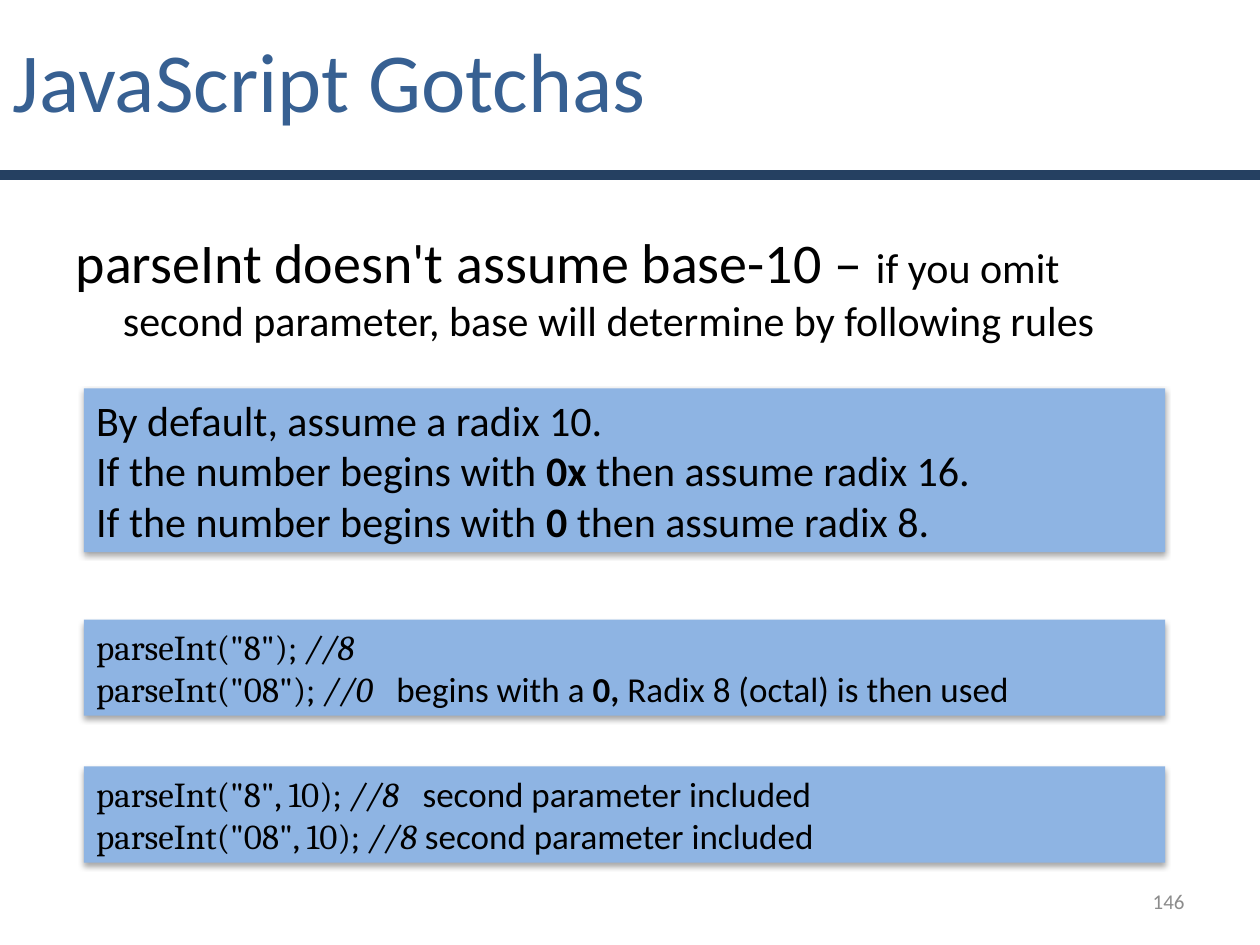
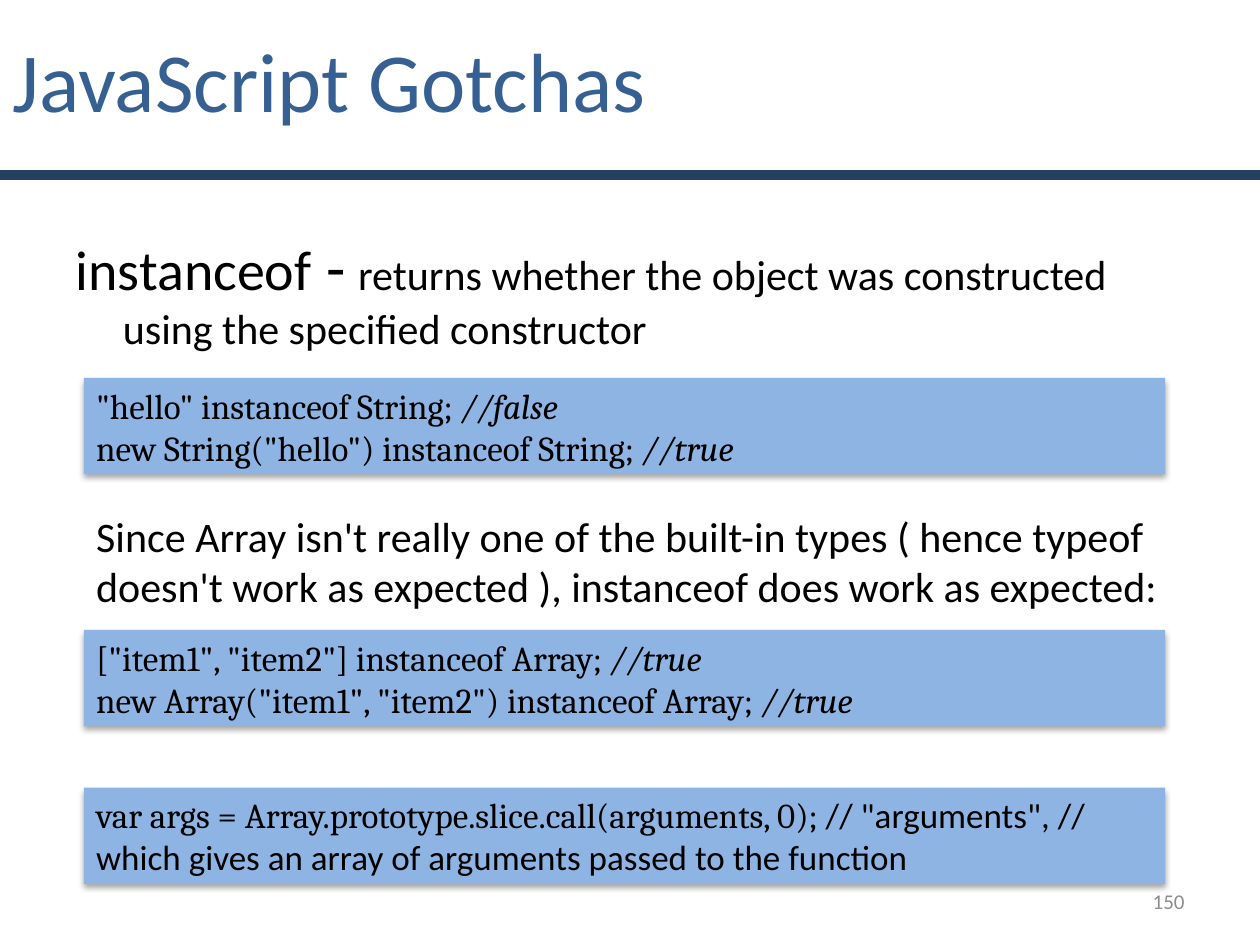
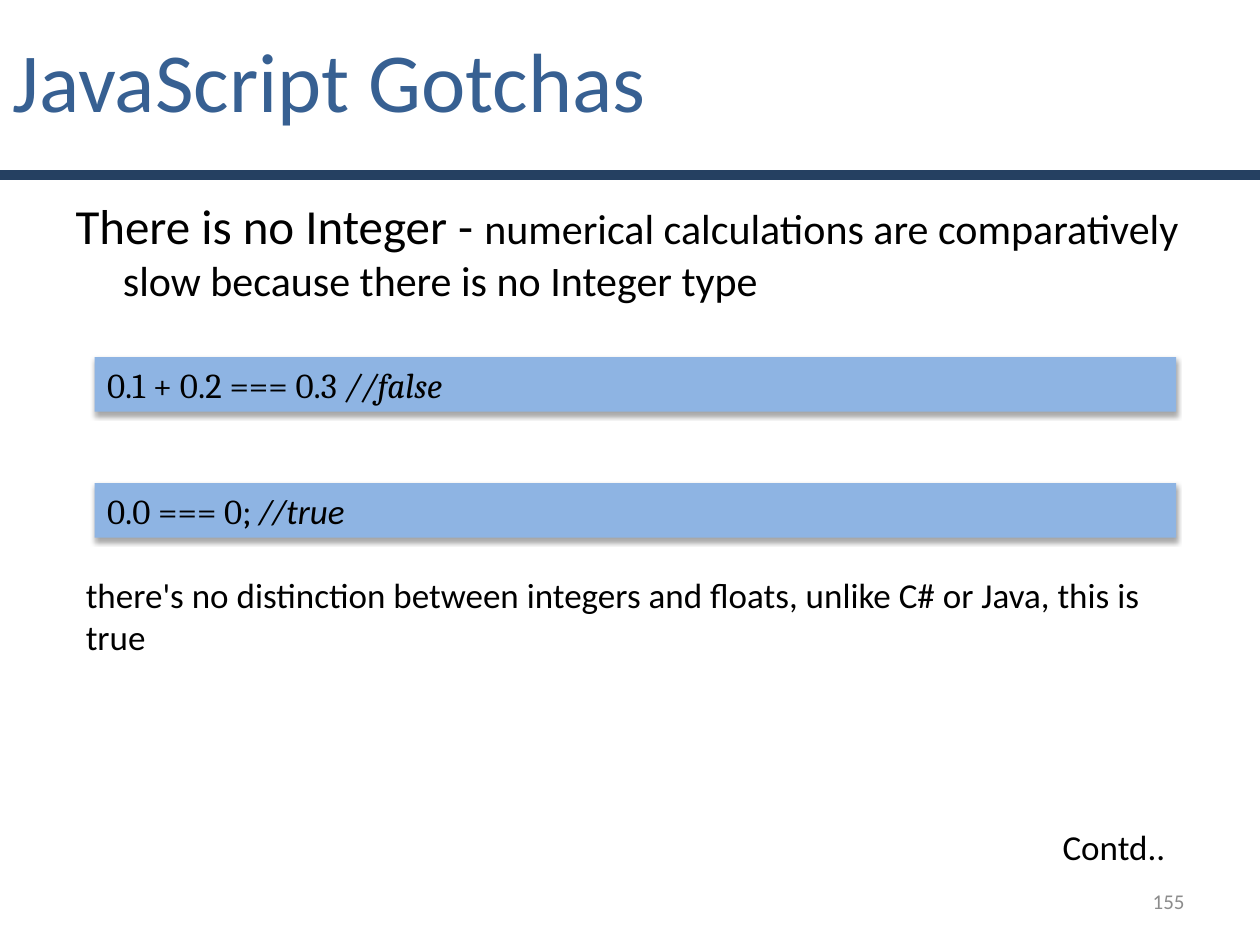
from dataclasses import dataclass
from typing import NamedTuple

from lxml import etree
from pptx import Presentation
from pptx.dml.color import RGBColor
from pptx.enum.shapes import MSO_SHAPE
from pptx.enum.text import MSO_ANCHOR as Anchor, MSO_AUTO_SIZE as AutoSize, PP_ALIGN as Align
from pptx.oxml import parse_xml
from pptx.oxml.ns import nsdecls, qn
from pptx.util import Cm, Pt

NAVY = RGBColor(0x25, 0x40, 0x61)
TITLE_BLUE = RGBColor(0x37, 0x60, 0x92)
PANEL_BLUE = RGBColor(0x8E, 0xB4, 0xE3)
GREY = RGBColor(0x8C, 0x8C, 0x8C)
BLACK = RGBColor(0, 0, 0)
SANS, SERIF = "Calibri", "Cambria"
TITLE = "JavaScript Gotchas"
PANEL_WIDTH = 21.8
SHADOW = (
    f'<a:effectLst {nsdecls("a")}>'
    '<a:outerShdw blurRad="40000" dist="23000" dir="5400000" rotWithShape="0">'
    '<a:srgbClr val="000000"><a:alpha val="35000"/></a:srgbClr>'
    "</a:outerShdw></a:effectLst>"
)


class Box(NamedTuple):
    left: float
    top: float
    width: float
    height: float


class Span(NamedTuple):
    text: str
    font: str = SANS
    size: float | None = None
    bold: bool = False
    italic: bool = False


Line = list[Span]


def code(text: str) -> Span:
    return Span(text, SERIF)


def remark(text: str, font: str = SERIF) -> Span:
    return Span(text, font, italic=True)


def strong(text: str) -> Span:
    return Span(text, bold=True)


@dataclass
class Panel:
    top: float
    lines: list[Line]
    size: float = 20
    left: float = 1.69
    rows: int = 2
    tab: float | None = None

    @property
    def box(self) -> Box:
        height = 0.25 + self.rows * self.size * 1.2 / 72 * 2.54
        return Box(self.left, self.top, PANEL_WIDTH, round(height, 2))


@dataclass
class Note:
    box: Box
    text: str
    size: float


@dataclass
class Page:
    number: int
    body_box: Box
    body: Line
    panels: list[Panel]
    notes: list[Note]


def cm(box: Box) -> list[Cm]:
    return [Cm(v) for v in box]


def place(sp, box: Box) -> None:
    sp.left, sp.top, sp.width, sp.height = cm(box)


def write_line(p, line: Line, size: float, color: RGBColor, align: Align) -> None:
    p.alignment = align
    p.space_before = Pt(0)
    for span in line:
        r = p.add_run()
        r.text = span.text
        f = r.font
        f.name, f.size = span.font, Pt(span.size or size)
        f.bold, f.italic = span.bold, span.italic
        f.color.rgb = color


def write(tf, lines: list[Line], size: float, color: RGBColor = BLACK,
          align: Align = Align.LEFT) -> None:
    tf.word_wrap = True
    for i, line in enumerate(lines):
        p = tf.add_paragraph() if i else tf.paragraphs[0]
        write_line(p, line, size, color, align)


def add_text(s, box: Box, text: str, size: float, color: RGBColor = BLACK,
             align: Align = Align.LEFT, anchor: Anchor = Anchor.TOP) -> None:
    tf = s.shapes.add_textbox(*cm(box)).text_frame
    tf.vertical_anchor = anchor
    write(tf, [[Span(text)]], size, color, align)


def add_rect(s, box: Box, fill: RGBColor):
    sp = s.shapes.add_shape(MSO_SHAPE.RECTANGLE, *cm(box))
    sp.shadow.inherit = False
    sp.fill.solid()
    sp.fill.fore_color.rgb = fill
    return sp


def add_frame(s, number: int) -> None:
    band = add_rect(s, Box(0, 3.47, 25.4, 0.13), NAVY)
    band.line.color.rgb = NAVY
    band.line.width = Pt(2)
    add_text(s, Box(18.2, 17.66, 5.93, 1.01), str(number), 12, GREY, Align.RIGHT, Anchor.MIDDLE)


def fill_title(s) -> None:
    sp = s.shapes.title
    place(sp, Box(0, -0.2, 18.85, 3.6))
    sp.text_frame.vertical_anchor = Anchor.MIDDLE
    write(sp.text_frame, [[Span(TITLE)]], 48, TITLE_BLUE)


def fill_body(s, page: Page) -> None:
    sp = s.placeholders[1]
    place(sp, page.body_box)
    tf = sp.text_frame
    tf.auto_size = AutoSize.NONE
    pPr = tf.paragraphs[0]._p.get_or_add_pPr()
    etree.SubElement(pPr, qn("a:buNone"))
    write(tf, [page.body], 24)


def add_panel(s, panel: Panel) -> None:
    sp = add_rect(s, panel.box, PANEL_BLUE)
    sp.line.fill.background()
    spPr = sp._element.spPr
    spPr.replace(spPr.find(qn("a:effectLst")), parse_xml(SHADOW))
    tf = sp.text_frame
    tf.vertical_anchor = Anchor.TOP
    tf.auto_size = AutoSize.SHAPE_TO_FIT_TEXT
    write(tf, panel.lines, panel.size)
    if panel.tab:
        for p in tf.paragraphs:
            tabs = etree.SubElement(p._p.get_or_add_pPr(), qn("a:tabLst"))
            etree.SubElement(tabs, qn("a:tab"), pos=str(Cm(panel.tab)), algn="l")


PAGES = [
    Page(
        146,
        Box(1.27, 4.45, 22.86, 3.18),
        [Span("parseInt doesn't assume base-10 – ", size=32),
         Span("if you omit second parameter, base will determine by following rules")],
        [
            Panel(7.83, [
                [Span("By default, assume a radix 10.")],
                [Span("If the number begins with "), strong("0x"), Span(" then assume radix 16.")],
                [Span("If the number begins with "), strong("0"), Span(" then assume radix 8.")],
            ], size=24, rows=3),
            Panel(12.49, [
                [code('parseInt("8"); '), remark("//8")],
                [code('parseInt("08"); '), remark("//0\t"), Span("begins with a "),
                 strong("0,"), Span(" Radix 8 (octal) is then used")],
            ], tab=6.05),
            Panel(15.45, [
                [code('parseInt("8", 10); '), remark("//8\t"), Span("second parameter included")],
                [code('parseInt("08", 10); '), remark("//8 "), Span("second parameter included")],
            ], tab=6.58),
        ],
        [],
    ),
    Page(
        150,
        Box(1.27, 4.45, 22.86, 2.54),
        [Span("instanceof", size=32), Span(" -", size=36), Span(" ", size=32),
         Span("returns whether the object was constructed using the specified constructor")],
        [
            Panel(7.62, [
                [code('"hello" instanceof String; '), remark("//false")],
                [code('new String("hello") instanceof String; '), remark("//true")],
            ]),
            Panel(12.7, [
                [code('["item1", "item2"] instanceof Array; '), remark("//true")],
                [code('new Array("item1", "item2") instanceof Array; '), remark("//true")],
            ]),
            Panel(15.88, [
                [code("var args = Array.prototype.slice.call(arguments, 0); "),
                 Span('// "arguments", // which gives an array of arguments passed to the function')],
            ]),
        ],
        [Note(Box(1.69, 10.16, 22.86, 2.33),
              "Since Array isn't really one of the built-in types ( hence typeof doesn't work "
              "as expected ), instanceof does work as expected:", 24)],
    ),
    Page(
        155,
        Box(1.27, 3.81, 23.71, 2.75),
        [Span("There is no Integer - ", size=28),
         Span("numerical calculations are comparatively slow because there is no Integer type")],
        [
            Panel(7.2, [[code("0.1 + 0.2 === 0.3 "), remark("//false")]], left=1.91, rows=1),
            Panel(9.74, [[code("0.0 === 0; "), remark("//true", SANS)]], left=1.91, rows=1),
        ],
        [
            Note(Box(1.48, 11.43, 23.07, 1.91),
                 "there's no distinction between integers and floats, unlike C# or Java, this is true", 20),
            Note(Box(21.17, 16.51, 3.18, 1.06), "Contd..", 20),
        ],
    ),
]


def add_page(prs, page: Page) -> None:
    s = prs.slides.add_slide(prs.slide_layouts[1])
    add_frame(s, page.number)
    fill_title(s)
    fill_body(s, page)
    for panel in page.panels:
        add_panel(s, panel)
    for note in page.notes:
        add_text(s, note.box, note.text, note.size)


def main() -> None:
    prs = Presentation()
    prs.slide_width, prs.slide_height = Cm(25.4), Cm(19.05)
    for page in PAGES:
        add_page(prs, page)
    prs.save("out.pptx")


if __name__ == "__main__":
    main()
